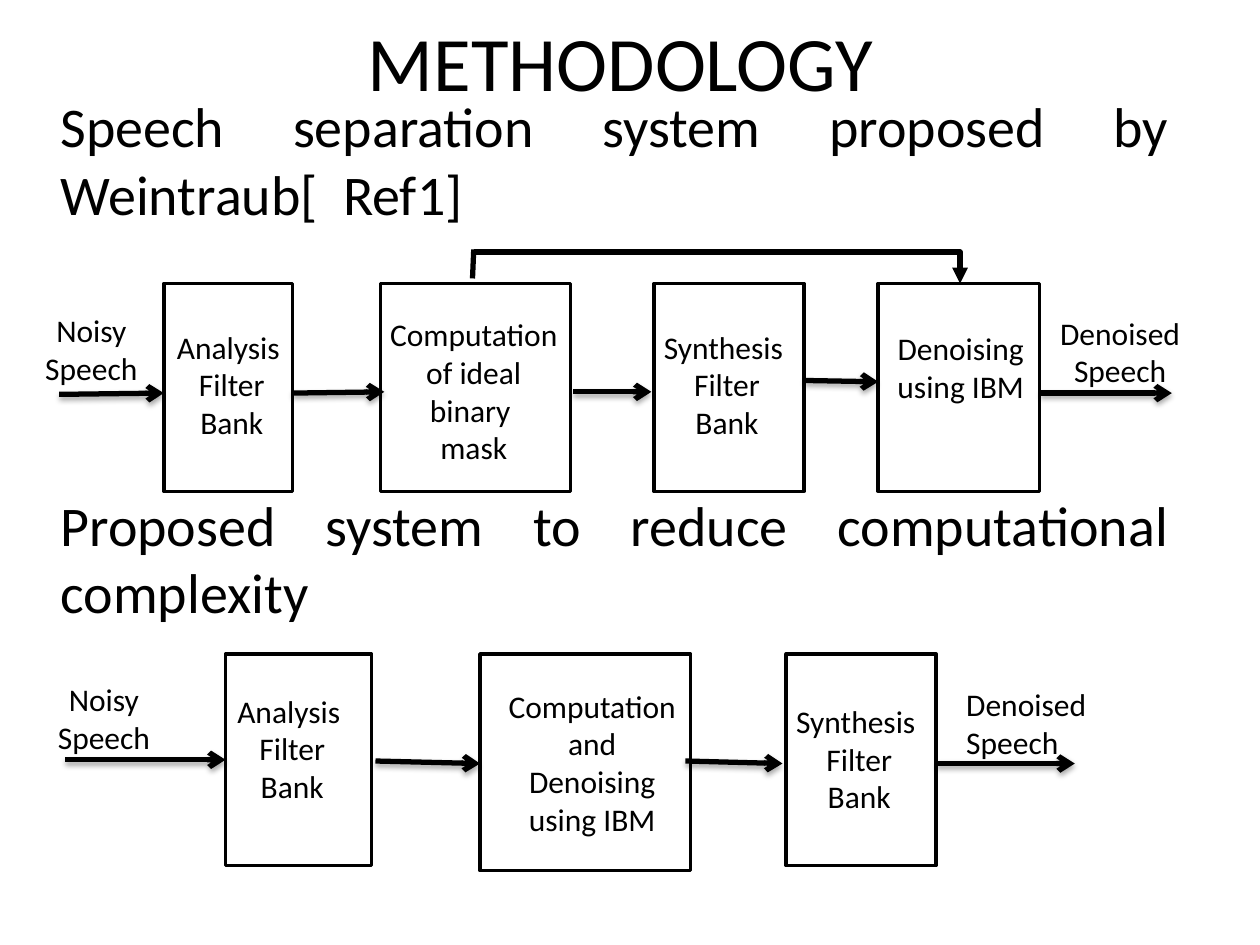
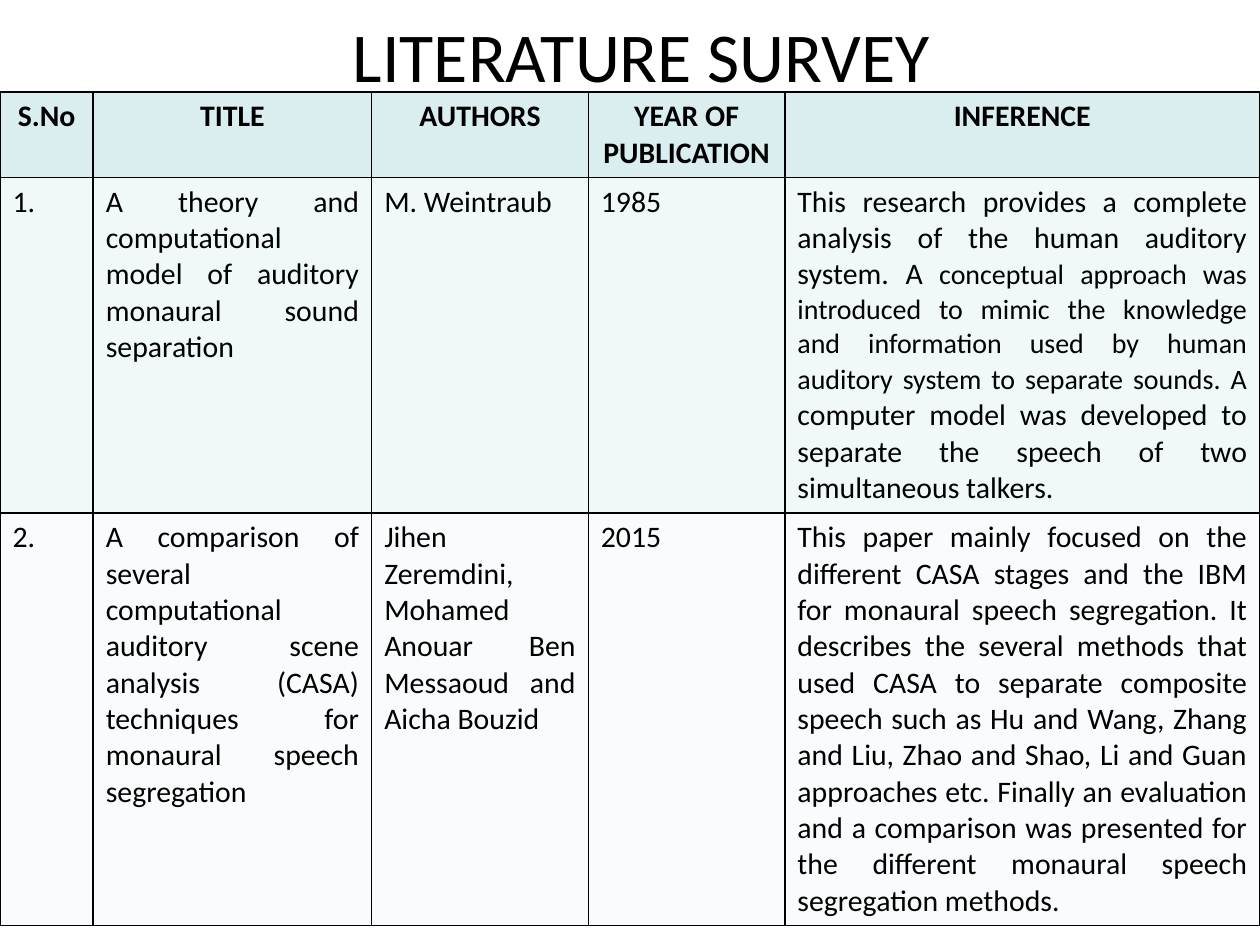
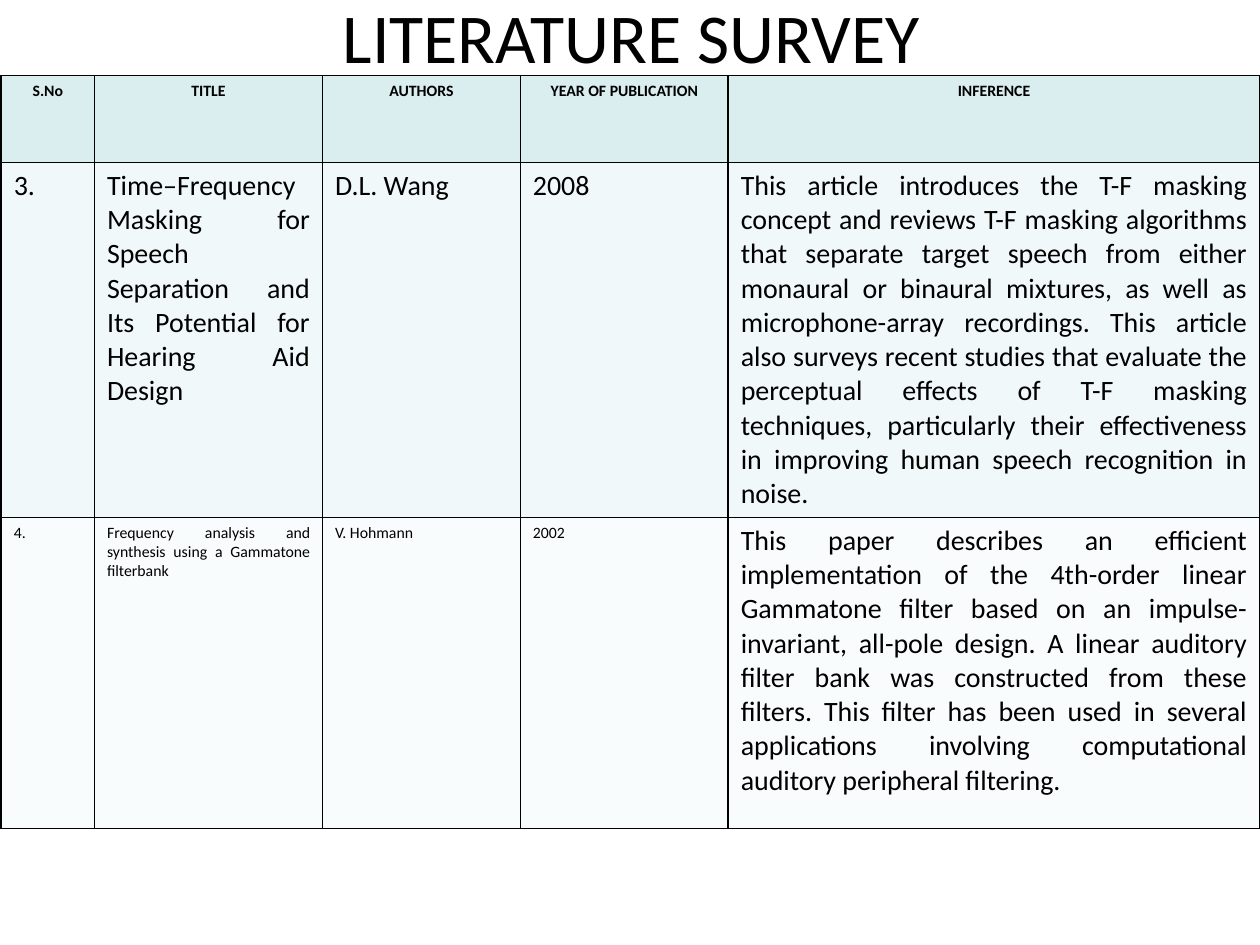
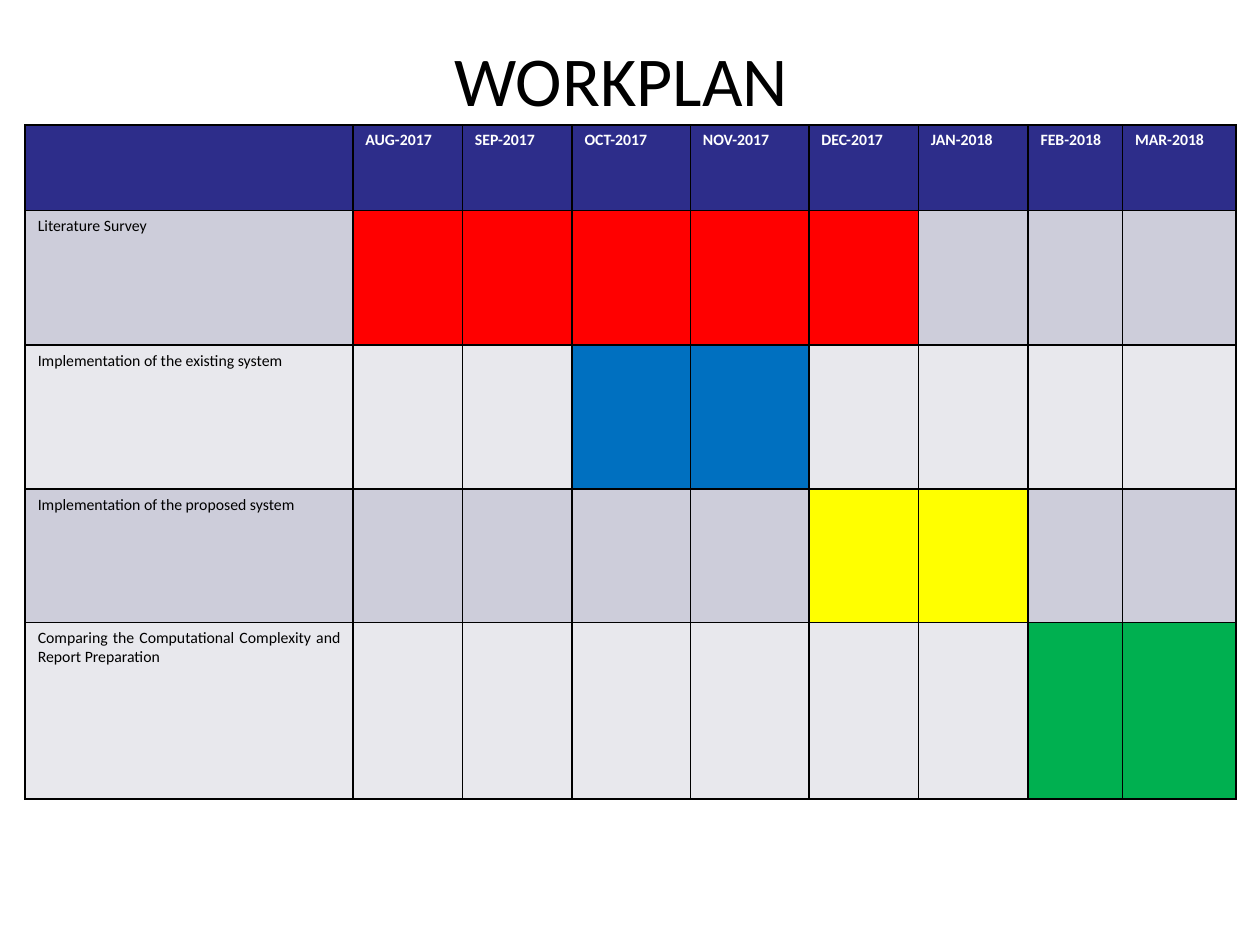
from dataclasses import dataclass

from lxml import etree
from pptx import Presentation
from pptx.dml.color import RGBColor
from pptx.enum import shapes, text
from pptx.oxml import ns
from pptx.util import Inches, Pt


@dataclass(frozen=True)
class Theme:
    font: str = "Calibri"
    black: str = "000000"
    white: str = "FFFFFF"
    survey_header: str = "DAEDEF"
    survey_rows: tuple = ("F1F8F9", "F8FCFC")
    plan_header: str = "2D2D8A"
    plan_rows: tuple = ("CDCDDA", "E8E8ED")
    red: str = "FF0000"
    blue: str = "0070C0"
    yellow: str = "FFFF00"
    green: str = "00B050"
    diagram_title: int = 44
    title: int = 40
    heading: int = 32
    label: int = 18
    table: int = 17
    table_medium: int = 16
    table_small: int = 9


theme = Theme()
LEFT, CENTER, JUSTIFY = text.PP_ALIGN.LEFT, text.PP_ALIGN.CENTER, text.PP_ALIGN.JUSTIFY


def write(frame, content, size, align, bold=False, color=theme.black):
    """Fill a frame with a string, or with (words, size) segments of one paragraph."""
    segments = [(content, size)] if isinstance(content, str) else content
    frame.text = segments[0][0]
    for words, _ in segments[1:]:
        frame.paragraphs[0].add_run().text = words
    for paragraph in frame.paragraphs:
        paragraph.alignment = align
        for run, (_, run_size) in zip(paragraph.runs, segments):
            run.font.name, run.font.size, run.font.bold = theme.font, Pt(run_size), bold
            run.font.color.rgb = RGBColor.from_string(color)


def connect(slide, start, end, head=None, shadow=False, kind=shapes.MSO_CONNECTOR.STRAIGHT):
    link = slide.shapes.add_connector(kind, *map(Inches, start + end))
    link.line.width = Pt(3)
    link.line.color.rgb = RGBColor.from_string(theme.black)
    if head:
        etree.SubElement(link.line._get_or_add_ln(), ns.qn("a:tailEnd"), type=head)
    effects = etree.SubElement(link._element.spPr, ns.qn("a:effectLst"))
    if shadow:
        outer = etree.SubElement(effects, ns.qn("a:outerShdw"), blurRad="40000", dist="23000",
                                 dir="5400000", rotWithShape="0")
        tint = etree.SubElement(outer, ns.qn("a:srgbClr"), val=theme.black)
        etree.SubElement(tint, ns.qn("a:alpha"), val="35000")
    return link


deck = Presentation()
deck.slide_width, deck.slide_height = Inches(10), Inches(7.5)
CONTENT_LAYOUT, TITLE_LAYOUT = deck.slide_layouts[1], deck.slide_layouts[5]

# Slides and titles: layout, wording, size, place
slides = []
for layout, wording, size, place in [
    (CONTENT_LAYOUT, "METHODOLOGY", theme.diagram_title, (2.76, 0.06, 4.33, 0.84)),
    (TITLE_LAYOUT, "LITERATURE SURVEY", theme.title, (0.59, -0.19, 9, 1.25)),
    (TITLE_LAYOUT, "LITERATURE SURVEY", theme.title, (0.51, -0.34, 9, 1.25)),
    (TITLE_LAYOUT, "WORKPLAN", theme.title, (0.43, 0, 9, 1.25)),
]:
    slide = deck.slides.add_slide(layout)
    title = slide.shapes.title
    title.left, title.top, title.width, title.height = map(Inches, place)
    write(title.text_frame, wording, size, CENTER)
    title.text_frame.auto_size = text.MSO_AUTO_SIZE.NONE
    title.text_frame.vertical_anchor = text.MSO_ANCHOR.MIDDLE
    slides.append(slide)
methodology, survey_first, survey_second, workplan = slides

# Methodology: a heading above each block diagram
headings = methodology.placeholders[1]
headings.left, headings.top, headings.width, headings.height = map(Inches, (0.38, 0.68, 9, 6.51))
write(headings.text_frame,
      "Speech separation system proposed by Weintraub[  Ref1]\n"
      "Proposed system to reduce computational complexity", theme.heading, JUSTIFY)
headings.text_frame.auto_size = text.MSO_AUTO_SIZE.NONE
for heading in headings.text_frame.paragraphs:
    properties = heading._p.get_or_add_pPr()
    properties.set("marL", "0")
    properties.set("indent", "0")
    etree.SubElement(properties, ns.qn("a:buNone"))
existing_heading, proposed_heading = headings.text_frame.paragraphs
existing_heading.space_after = Pt(12)
proposed_heading.space_before = Pt(139)

# Methodology: blocks of the existing system, then of the proposed one
for left, top, width, height in [
    (1.3, 2.25, 1.02, 1.65), (3.02, 2.25, 1.51, 1.65),
    (5.19, 2.25, 1.19, 1.65), (6.97, 2.25, 1.28, 1.65),
    (1.79, 5.19, 1.16, 1.68), (3.81, 5.19, 1.67, 1.72), (6.24, 5.19, 1.19, 1.68),
]:
    block = methodology.shapes.add_shape(
        shapes.MSO_SHAPE.RECTANGLE, *map(Inches, (left, top, width, height)))
    block.shadow.inherit = False
    block.fill.solid()
    block.fill.fore_color.rgb = RGBColor.from_string(theme.white)
    block.line.color.rgb = RGBColor.from_string(theme.black)
    block.line.width = Pt(2)

# Methodology: signal flow
for start, end in [
    ((0.47, 3.13), (1.3, 3.12)), ((2.32, 3.12), (3.05, 3.11)), ((4.55, 3.11), (5.17, 3.11)),
    ((6.39, 3.02), (6.97, 3.03)), ((8.26, 3.12), (9.3, 3.12)),
    ((0.52, 6.03), (1.79, 6.03)), ((2.98, 6.04), (3.81, 6.06)),
    ((5.44, 6.04), (6.21, 6.06)), ((7.43, 6.06), (8.53, 6.06)),
]:
    connect(methodology, start, end, "arrow", shadow=True)

# Methodology: the mask is passed over the synthesis block
mask_path = connect(methodology, (3.76, 2), (7.62, 2.25), "triangle",
                    kind=shapes.MSO_CONNECTOR.ELBOW)
mask_path._element.spPr.find(ns.qn("a:prstGeom")).set("prst", "bentConnector2")
connect(methodology, (3.76, 1.98), (3.75, 2.21))

# Methodology: labels
analysis, synthesis = "Analysis \nFilter\nBank", "Synthesis \nFilter\nBank"
for wording, align, place in [
    ("Noisy Speech", CENTER, (0.14, 2.42, 1.17, 0.71)),
    (analysis, CENTER, (1.09, 2.55, 1.5, 1.01)),
    ("Computation of ideal binary \nmask", CENTER, (2.97, 2.45, 1.58, 1.31)),
    (synthesis, CENTER, (5.02, 2.55, 1.5, 1.01)),
    ("Denoising using IBM", CENTER, (6.79, 2.56, 1.67, 0.71)),
    ("Denoised Speech", CENTER, (8.14, 2.44, 1.5, 0.71)),
    ("Noisy Speech", CENTER, (0.24, 5.35, 1.17, 0.71)),
    (analysis, CENTER, (1.57, 5.44, 1.5, 1.01)),
    ("Computation and Denoising using IBM", CENTER, (3.91, 5.4, 1.58, 1.62)),
    (synthesis, CENTER, (6.07, 5.52, 1.5, 1.01)),
    ("Denoised Speech", LEFT, (7.57, 5.39, 1.42, 0.71)),
]:
    label = methodology.shapes.add_textbox(*map(Inches, place))
    label.text_frame.word_wrap = True
    write(label.text_frame, wording, theme.label, align)

# Table contents
survey_columns = ["S.No", "TITLE", "AUTHORS", "YEAR OF PUBLICATION", "INFERENCE"]
first_papers = [
    survey_columns,
    ["1.", "A theory and computational model of auditory monaural sound separation",
     "M. Weintraub", "1985",
     [("This research provides a complete analysis of the human auditory system. A", theme.table),
      (" conceptual approach was introduced to mimic the knowledge and information used by "
       "human auditory system to separate sounds. A", theme.table_medium),
      (" computer model was developed to separate the speech of two simultaneous talkers. ",
       theme.table)]],
    ["2.", "A comparison of several computational auditory scene analysis (CASA) techniques "
     "for monaural speech segregation",
     "Jihen Zeremdini, Mohamed Anouar Ben Messaoud and Aicha Bouzid", "2015",
     "This paper mainly focused on the different CASA stages and the IBM for monaural speech "
     "segregation. It describes the several methods that used CASA to separate composite speech "
     "such as Hu and Wang, Zhang and Liu, Zhao and Shao, Li and Guan approaches etc. Finally an "
     "evaluation and a comparison was presented for the different monaural speech segregation "
     "methods. "],
]
second_papers = [
    survey_columns,
    ["3.", "Time–Frequency Masking for Speech Separation and Its Potential for Hearing Aid Design",
     "D.L. Wang", "2008",
     "This article introduces the T-F masking concept and reviews T-F masking algorithms that "
     "separate target speech from either monaural or binaural mixtures, as well as "
     "microphone-array recordings. This article also surveys recent studies that evaluate the "
     "perceptual effects of T-F masking techniques, particularly their effectiveness in "
     "improving human speech recognition in noise. "],
    ["4.", "Frequency analysis and synthesis using a Gammatone filterbank", "V. Hohmann", "2002",
     [("This paper describes an efficient implementation of the 4th-order linear Gammatone "
       "filter based on an impulse-invariant, all-pole design. A linear auditory filter bank was "
       "constructed from these filters. This filter has been used in several applications "
       "involving computational auditory peripheral filtering. ", theme.table_medium)]],
]
months = ["AUG-2017", "SEP-2017", "OCT-2017", "NOV-2017",
          "DEC-2017", "JAN-2018", "FEB-2018", "MAR-2018"]
tasks = ["Literature Survey", "Implementation of the existing system",
         "Implementation of the proposed system",
         "Comparing the Computational Complexity and Report Preparation"]
schedule = [[""] + months] + [[task] + [""] * len(months) for task in tasks]

# Tables: slide, corner, columns, rows, contents, text size of each row,
# header (fill, font colour, alignment), row fills
small, medium = theme.table_small, theme.table_medium
survey_look = ((theme.survey_header, theme.black, CENTER), theme.survey_rows)
grids = []
for slide, corner, columns, rows, contents, sizes, (header, bands) in [
    (survey_first, (0, 0.73), [0.74, 2.21, 1.72, 1.56, 3.77], [0.62, 2.45, 3.01],
     first_papers, [theme.table] * 3, survey_look),
    (survey_second, (0.01, 0.6), [0.74, 1.81, 1.57, 1.65, 4.22], [0.69, 2.37, 2.47],
     second_papers, [small, medium, small], survey_look),
    (workplan, (0.2, 0.99), [2.6, 0.87, 0.87, 0.94, 0.94, 0.87, 0.87, 0.75, 0.9],
     [0.68, 1.07, 1.14, 1.06, 1.4], schedule, [small] * 5,
     ((theme.plan_header, theme.white, JUSTIFY), theme.plan_rows)),
]:
    grid = slide.shapes.add_table(len(rows), len(columns), *map(
        Inches, (*corner, sum(columns), sum(rows)))).table
    grid.first_row = grid.horz_banding = False
    for column, width in zip(grid.columns, columns):
        column.width = Inches(width)
    for index, (row, height) in enumerate(zip(grid.rows, rows)):
        row.height = Inches(height)
        fill, color, align = header if index == 0 else (
            bands[(index - 1) % len(bands)], theme.black, JUSTIFY)
        for cell, content in zip(row.cells, contents[index]):
            cell.fill.solid()
            cell.fill.fore_color.rgb = RGBColor.from_string(fill)
            if content:
                write(cell.text_frame, content, sizes[index], align, index == 0, color)
            for order, edge in enumerate(("a:lnL", "a:lnR", "a:lnT", "a:lnB")):
                border = etree.Element(ns.qn(edge), w=str(Pt(1)))
                paint = etree.SubElement(border, ns.qn("a:solidFill"))
                etree.SubElement(paint, ns.qn("a:srgbClr"), val=theme.black)
                cell._tc.get_or_add_tcPr().insert(order, border)
    grids.append(grid)

# Workplan: months taken by each task
plan = grids[-1]
for task_row, (first, last, color) in enumerate([
    (1, 5, theme.red), (3, 4, theme.blue), (5, 6, theme.yellow), (7, 8, theme.green),
], start=1):
    for month in range(first, last + 1):
        plan.cell(task_row, month).fill.fore_color.rgb = RGBColor.from_string(color)

deck.save("out.pptx")
